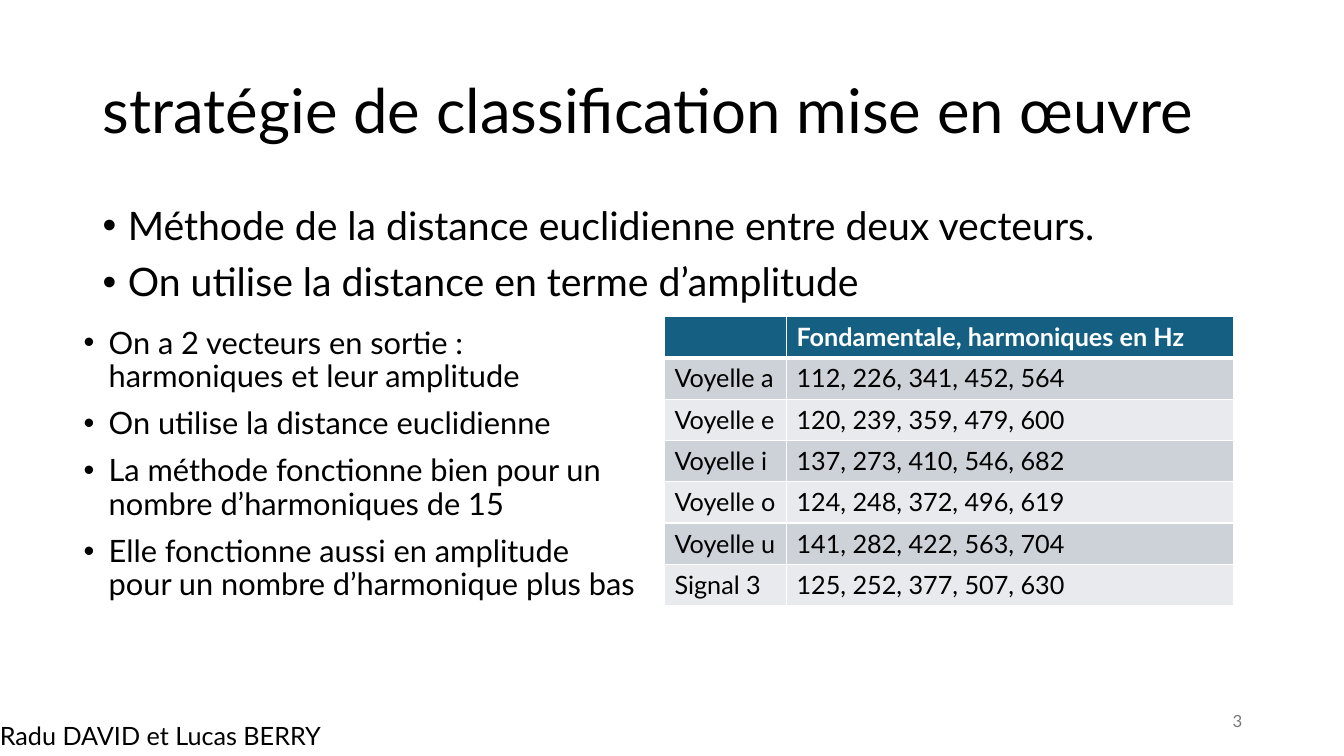
from dataclasses import dataclass

from lxml.etree import SubElement
from pptx import Presentation
from pptx.dml.color import RGBColor
from pptx.enum.text import MSO_ANCHOR, MSO_AUTO_SIZE, PP_ALIGN
from pptx.oxml.ns import qn
from pptx.util import Inches, Pt

BLACK = RGBColor(0x00, 0x00, 0x00)
WHITE = RGBColor(0xFF, 0xFF, 0xFF)
GREY = RGBColor(0x79, 0x79, 0x79)
HEADER_BLUE = RGBColor(0x15, 0x60, 0x82)
BAND_DARK = RGBColor(0xCC, 0xD2, 0xD8)
BAND_LIGHT = RGBColor(0xE8, 0xEA, 0xED)
FONT = "Lato"


@dataclass(frozen=True)
class TextBlock:
    left: float
    top: float
    width: float
    height: float
    lines: tuple[str, ...]
    size: int
    color: RGBColor = BLACK
    bulleted: bool = False
    spacing: float = 1.0
    anchor: MSO_ANCHOR = MSO_ANCHOR.TOP
    align: PP_ALIGN = PP_ALIGN.LEFT


TITLE = TextBlock(0.92, 0.4, 11.5, 1.45, ("stratégie de classification mise en œuvre",),
                  44, spacing=0.9, anchor=MSO_ANCHOR.MIDDLE)
BLOCKS = (
    TextBlock(0.92, 2, 11.5, 4.76, (
        "Méthode de la distance euclidienne entre deux vecteurs.",
        "On utilise la distance en terme d’amplitude",
    ), 28, bulleted=True, spacing=0.9),
    TextBlock(-0.1, 7.1, 3.98, 0.4, ("Radu DAVID et Lucas BERRY",), 18),
    TextBlock(9.42, 6.95, 3, 0.4, ("3",), 12, GREY,
              anchor=MSO_ANCHOR.MIDDLE, align=PP_ALIGN.RIGHT),
    TextBlock(0.73, 3.2, 5.68, 3.73, (
        "On a 2 vecteurs en sortie : harmoniques et leur amplitude",
        "On utilise la distance euclidienne",
        "La méthode fonctionne bien pour un nombre d’harmoniques de 15",
        "Elle fonctionne aussi en amplitude pour un nombre d’harmonique plus bas",
    ), 22, bulleted=True, spacing=0.9),
)
FREQUENCIES = (
    ("", "Fondamentale, harmoniques en Hz"),
    ("Voyelle a", "112, 226, 341, 452, 564"),
    ("Voyelle e", "120, 239, 359, 479, 600"),
    ("Voyelle i", "137, 273, 410, 546, 682"),
    ("Voyelle o", "124, 248, 372, 496, 619"),
    ("Voyelle u", "141, 282, 422, 563, 704"),
    ("Signal 3", "125, 252, 377, 507, 630"),
)
COLUMN_WIDTHS = (1.21, 4.44)
ROW_HEIGHT = 0.41


def apply(target, values: dict) -> None:
    for name, value in values.items():
        setattr(target, name, value)


def write_span(para, text: str, size: int, color: RGBColor, bold: bool = False) -> None:
    span = para.add_run()
    span.text = text
    apply(span.font, {"name": FONT, "size": Pt(size), "bold": bold})
    span.font.color.rgb = color


def add_bullet(para) -> None:
    properties = para._p.get_or_add_pPr()
    properties.set("marL", str(Inches(0.25)))
    properties.set("indent", str(-Inches(0.25)))
    SubElement(properties, qn("a:buFont"), typeface="Arial")
    SubElement(properties, qn("a:buChar"), char="•")


def fill_box(box, block: TextBlock) -> None:
    apply(box, {name: Inches(getattr(block, name))
                for name in ("left", "top", "width", "height")})
    frame = box.text_frame
    apply(frame, {"word_wrap": True, "auto_size": MSO_AUTO_SIZE.NONE,
                  "vertical_anchor": block.anchor})
    for index, line in enumerate(block.lines):
        para = frame.add_paragraph() if index else frame.paragraphs[0]
        apply(para, {"alignment": block.align, "line_spacing": block.spacing,
                     "space_before": Pt(10 if block.bulleted else 0)})
        if block.bulleted:
            add_bullet(para)
        write_span(para, line, block.size, block.color)


def add_border(cell, side: str, points: float) -> None:
    line = SubElement(cell._tc.get_or_add_tcPr(), qn(f"a:ln{side}"), w=str(Pt(points)))
    fill = SubElement(line, qn("a:solidFill"))
    SubElement(fill, qn("a:srgbClr"), val=str(WHITE))


def add_frequency_table(page) -> None:
    row_count = len(FREQUENCIES)
    table = page.shapes.add_table(
        row_count, len(COLUMN_WIDTHS), Inches(6.59), Inches(3.14),
        Inches(sum(COLUMN_WIDTHS)), Inches(ROW_HEIGHT * row_count)).table
    for column, width in zip(table.columns, COLUMN_WIDTHS):
        column.width = Inches(width)
    for row_index, values in enumerate(FREQUENCIES):
        table.rows[row_index].height = Inches(ROW_HEIGHT)
        header = row_index == 0
        band = HEADER_BLUE if header else BAND_DARK if row_index % 2 else BAND_LIGHT
        for column_index, value in enumerate(values):
            cell = table.cell(row_index, column_index)
            thickness = {"L": 1, "R": 1, "T": 3 if row_index == 1 else 1,
                         "B": 3 if header else 1}
            for side, points in thickness.items():
                add_border(cell, side, points)
            cell.fill.solid()
            cell.fill.fore_color.rgb = band
            if value:
                write_span(cell.text_frame.paragraphs[0], value, 18,
                           WHITE if header else BLACK, header)


def main() -> None:
    deck = Presentation()
    apply(deck, {"slide_width": Inches(13.33), "slide_height": Inches(7.5)})
    page = deck.slides.add_slide(deck.slide_layouts[5])
    fill_box(page.shapes.title, TITLE)
    for block in BLOCKS:
        fill_box(page.shapes.add_textbox(0, 0, 0, 0), block)
    add_frequency_table(page)
    deck.save("out.pptx")


if __name__ == "__main__":
    main()
